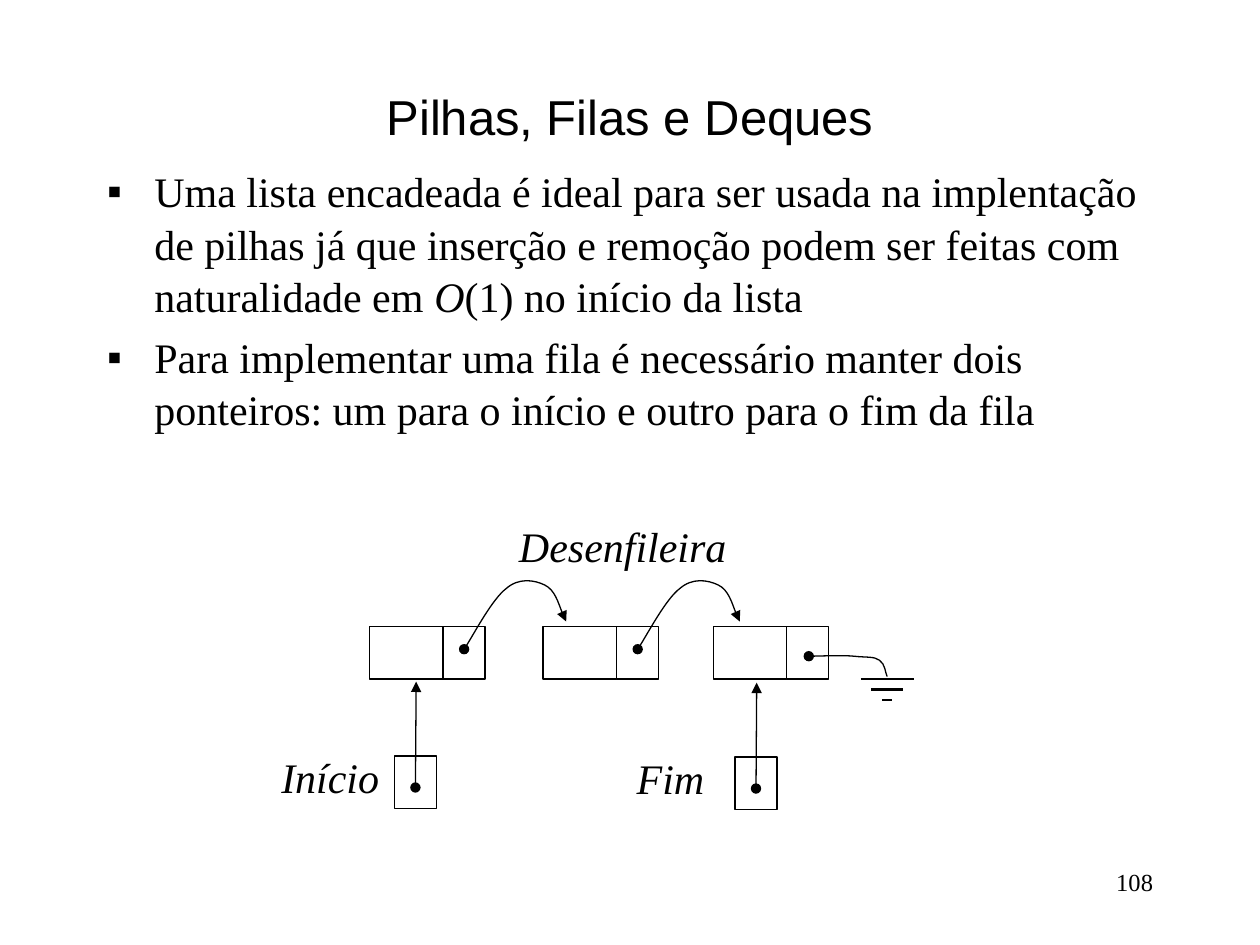
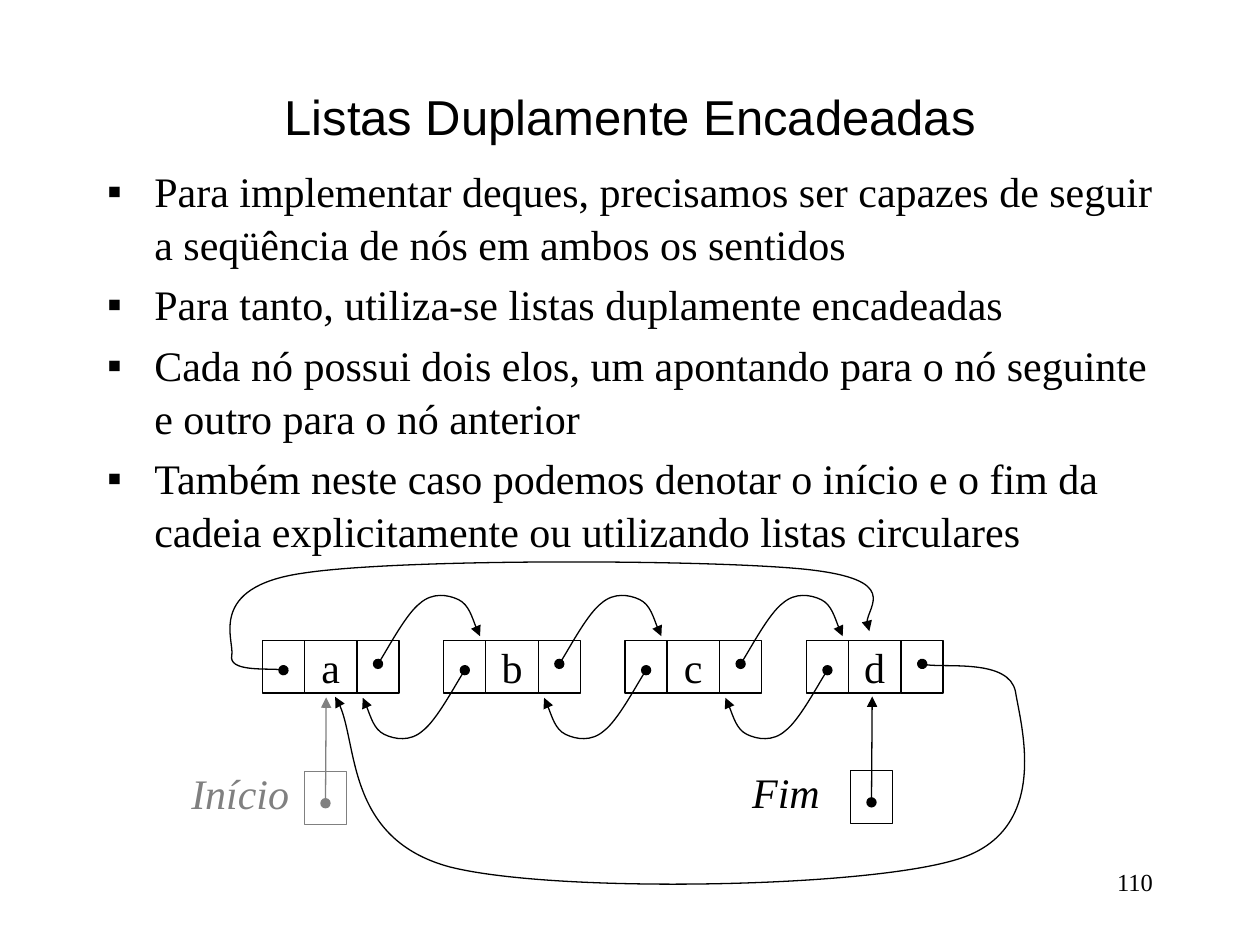
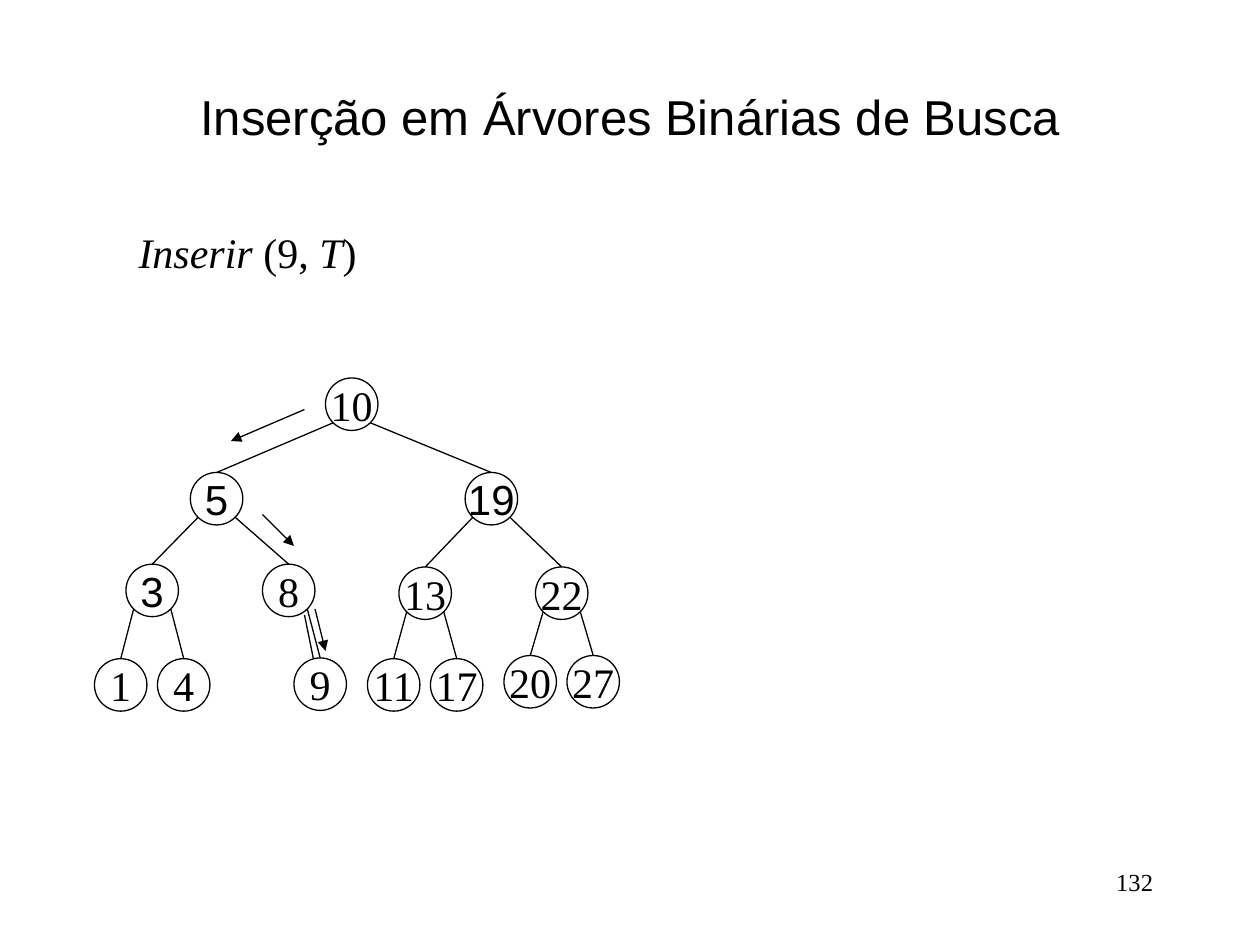
from dataclasses import dataclass
from math import sqrt

from pptx import Presentation
from pptx.dml.color import RGBColor
from pptx.enum.shapes import MSO_CONNECTOR, MSO_SHAPE
from pptx.enum.text import MSO_ANCHOR, MSO_AUTO_SIZE, PP_ALIGN
from pptx.oxml import parse_xml
from pptx.oxml.ns import nsdecls, qn
from pptx.oxml.xmlchemy import OxmlElement
from pptx.util import Pt

# Shared style
COLORS = {"ink": "000000", "muted": "808080", "paper": "FFFFFF"}
SANS, SERIF = "Arial", "Times New Roman"
TITLE_SIZE, TEXT_SIZE, NUMBER_SIZE = 28, 24, 14
THIN, THICK = 0.75, 1.5
CELL_HEIGHT, LINK_WIDTH, VALUE_WIDTH = 30, 24, 30
NODE_SIZE = 30

# Curve from a link to the next list node, relative to its dot
HOP = [(0, 0), (4, -5.8), (16.3, -28.8), (24, -34.6), (31.2, -41),
       (40, -39.6), (46, -36.7), (52, -33.8), (56, -20), (58.3, -15.8)]
NULL_LINK = [(462.2, 375), (466.5, 375), (481.7, 374.4), (488, 375), (494.6, 375.8),
             (499.7, 375), (502.6, 377.3), (506, 379.4), (506, 385), (507, 386.6)]
FIRST_TO_LAST = [(162, 383), (157, 381.6), (130.3, 383.8), (132.5, 374.4),
                 (134, 365.8), (118, 335.5), (172.8, 327.6),
                 (227.5, 319), (406.8, 319.7), (460.8, 325.4),
                 (514.8, 331.2), (489.6, 353.5), (496.8, 360.7)]
LAST_TO_FIRST = [(527, 379.4), (535.7, 382.3), (576.7, 376.6), (580.3, 395.3),
                 (583.2, 414), (601.2, 474.5), (547.2, 491),
                 (494, 507.6), (316.8, 510.5), (257, 495.4),
                 (198, 479.5), (205.2, 418.3), (191.5, 398.2)]


@dataclass
class Span:
    text: str
    italic: bool = False


@dataclass
class Pointer:
    label: str
    x: float
    y: float
    label_gap: float
    label_width: float
    color: str = "ink"


@dataclass
class TreeNode:
    value: str
    x: float
    y: float
    parent: str = ""
    side: int = 0  # -1 left child, 1 right child
    font: str = SERIF
    fill: str = ""


def start_pointer(x: float, y: float, color: str = "ink") -> Pointer:
    return Pointer("Início", x, y, 72, 70.6, color)


def end_pointer(x: float, y: float) -> Pointer:
    return Pointer("Fim", x, y, 63.5, 53.3)


# Text
def add_spans(para, spans: list[Span], size: float, font: str = SERIF,
              color: str = "ink") -> None:
    for span in spans:
        run = para.add_run()
        run.text = span.text
        run.font.size, run.font.name = Pt(size), font
        run.font.bold, run.font.italic = False, span.italic
        run.font.color.rgb = RGBColor.from_string(COLORS[color])


def place(shape, x: float, y: float, width: float, height: float) -> None:
    shape.left, shape.top, shape.width, shape.height = map(Pt, (x, y, width, height))


def add_label(page, x: float, y: float, width: float, spans: list[Span],
              color: str = "ink") -> None:
    box = page.shapes.add_textbox(Pt(x), Pt(y), Pt(width), Pt(36))
    box.text_frame.word_wrap = False
    box.text_frame.auto_size = MSO_AUTO_SIZE.SHAPE_TO_FIT_TEXT
    para = box.text_frame.paragraphs[0]
    para.alignment = PP_ALIGN.CENTER
    add_spans(para, spans, TEXT_SIZE, color=color)


def add_bullets(page, items: list[list[Span]]) -> None:
    body = page.placeholders[1]
    place(body, 54, 90, 612, 390)
    frame = body.text_frame
    frame.auto_size = MSO_AUTO_SIZE.NONE
    for index, spans in enumerate(items):
        para = frame.add_paragraph() if index else frame.paragraphs[0]
        properties = para._p.get_or_add_pPr()
        properties.set("marL", str(Pt(27)))
        properties.set("indent", str(Pt(-27)))
        properties.append(parse_xml(f'<a:buChar {nsdecls("a")} char="▪"/>'))
        para.line_spacing = 1.04
        para.space_before = Pt(4.8 if index else 0)
        add_spans(para, spans, TEXT_SIZE)


def add_page(deck, layout: int, title: str, number: str):
    page = deck.slides.add_slide(deck.slide_layouts[layout])
    heading = page.shapes.title
    place(heading, 54, 48, 612, 36)
    heading.text_frame.auto_size = MSO_AUTO_SIZE.NONE
    heading.text_frame.vertical_anchor = MSO_ANCHOR.MIDDLE
    para = heading.text_frame.paragraphs[0]
    para.alignment = PP_ALIGN.CENTER
    add_spans(para, [Span(title)], TITLE_SIZE, SANS)

    box = page.shapes.add_textbox(Pt(516), Pt(492), Pt(150), Pt(36))
    box.text_frame.word_wrap = True
    para = box.text_frame.paragraphs[0]
    para.alignment = PP_ALIGN.RIGHT
    add_spans(para, [Span(number)], NUMBER_SIZE)
    return page


# Shapes and lines
def style_line(shape, color: str = "ink", width: float = THIN,
               head: str = "", tail: str = "") -> None:
    shape.line.color.rgb = RGBColor.from_string(COLORS[color])
    shape.line.width = Pt(width)
    for tag, kind in (("headEnd", head), ("tailEnd", tail)):
        if kind:
            end = parse_xml(f'<a:{tag} {nsdecls("a")} type="{kind}"/>')
            shape.line._get_or_add_ln().append(end)


def add_box(page, x: float, y: float, width: float, height: float, text: str = "",
            kind: MSO_SHAPE = MSO_SHAPE.RECTANGLE, font: str = SERIF,
            color: str = "ink", fill: str = ""):
    box = page.shapes.add_shape(kind, Pt(x), Pt(y), Pt(width), Pt(height))
    box.shadow.inherit = False
    if fill:
        box.fill.solid()
        box.fill.fore_color.rgb = RGBColor.from_string(COLORS[fill])
    else:
        box.fill.background()
    style_line(box, color)
    if text:
        box.text_frame.word_wrap = False
        box.text_frame.vertical_anchor = MSO_ANCHOR.MIDDLE
        para = box.text_frame.paragraphs[0]
        para.alignment = PP_ALIGN.CENTER
        add_spans(para, [Span(text)], TEXT_SIZE, font)
    return box


def add_line(page, start: tuple, end: tuple, color: str = "ink", width: float = THIN,
             head: str = "", tail: str = ""):
    line = page.shapes.add_connector(MSO_CONNECTOR.STRAIGHT, *map(Pt, start + end))
    style_line(line, color, width, head, tail)
    line._element.spPr.append(OxmlElement("a:effectLst"))
    return line


def add_curve(page, points: list[tuple], tail: str = "triangle") -> None:
    """Draw Bézier curves: a start, then two controls and an end per curve."""
    vertices = [(Pt(x), Pt(y)) for x, y in points]
    builder = page.shapes.build_freeform(*vertices[0])
    builder.add_line_segments(vertices[1:], close=False)
    curve = builder.convert_to_shape()
    outline = curve._element.xpath(".//a:path")[0]
    segments = outline.findall(qn("a:lnTo"))
    for first in range(0, len(segments), 3):
        cubic = OxmlElement("a:cubicBezTo")
        for segment in segments[first:first + 3]:
            cubic.append(segment[0])
            outline.remove(segment)
        outline.append(cubic)
    curve.shadow.inherit = False
    curve.fill.background()
    style_line(curve, head="oval", tail=tail)


def add_hop(page, x: float, y: float, direction: int = 1) -> None:
    add_curve(page, [(x + direction * dx, y + direction * dy) for dx, dy in HOP])


def add_pointer(page, pointer: Pointer) -> None:
    x, y, color = pointer.x, pointer.y, pointer.color
    add_box(page, x, y, LINK_WIDTH, CELL_HEIGHT, color=color)
    add_line(page, (x + 12, y + 18), (x + 12.4, y - 42.5), color,
             head="oval", tail="triangle")
    add_label(page, x - pointer.label_gap, y - 6, pointer.label_width,
              [Span(pointer.label, True)], color)


# Slides
def build_queue(deck) -> None:
    page = add_page(deck, 1, "Pilhas, Filas e Deques", "108")
    add_bullets(page, [
        [Span("Uma lista encadeada é ideal para ser usada na implentação de pilhas já que "
              "inserção e remoção podem ser feitas com naturalidade em "),
         Span("O", True), Span("(1) no início da lista")],
        [Span("Para implementar uma fila é necessário manter dois ponteiros: um para o "
              "início e outro para o fim da fila")],
    ])
    node_width, top = 42, 358
    lefts = [211.2, 310.4, 407.6]
    for left in lefts:
        add_box(page, left, top, node_width, CELL_HEIGHT)
        add_box(page, left + node_width, top, LINK_WIDTH, CELL_HEIGHT)
    for left in lefts[:-1]:
        add_hop(page, left + node_width + LINK_WIDTH / 2, 371)

    # Null link and ground sign
    add_curve(page, NULL_LINK, tail="")
    for step in range(3):
        inset, y = 6 * step, 388 + 6 * step
        add_line(page, (492 + inset, y), (522 - inset, y), width=THICK)

    add_pointer(page, start_pointer(225.4, 432))
    add_pointer(page, end_pointer(420, 432.6))
    add_label(page, 289.4, 294, 133, [Span("Desenfileira", True)])


def build_double_list(deck) -> None:
    page = add_page(deck, 1, "Listas Duplamente Encadeadas", "110")
    add_bullets(page, [[Span(text)] for text in (
        "Para implementar deques, precisamos ser capazes de seguir a seqüência de nós "
        "em ambos os sentidos",
        "Para tanto, utiliza-se listas duplamente encadeadas",
        "Cada nó possui dois elos, um apontando para o nó seguinte e outro para o nó "
        "anterior",
        "Também neste caso podemos denotar o início e o fim da cadeia explicitamente ou "
        "utilizando listas circulares",
    )])
    values, top, pitch = "abcd", 366, 103.6
    for index, value in enumerate(values):
        previous = 150 + pitch * index
        center = previous + LINK_WIDTH
        following = center + VALUE_WIDTH
        add_box(page, previous, top, LINK_WIDTH, CELL_HEIGHT)
        add_box(page, center, top, VALUE_WIDTH, CELL_HEIGHT, value)
        add_box(page, following, top, LINK_WIDTH, CELL_HEIGHT)
        if index < len(values) - 1:
            add_hop(page, following + LINK_WIDTH / 2, 379.4)
        if index:
            add_hop(page, previous + LINK_WIDTH / 2, 383, -1)
    add_curve(page, FIRST_TO_LAST)
    add_curve(page, LAST_TO_FIRST)
    add_pointer(page, end_pointer(486, 440.5))
    add_pointer(page, start_pointer(174, 441, "muted"))


def build_tree(deck) -> None:
    page = add_page(deck, 5, "Inserção em Árvores Binárias de Busca", "132")
    add_label(page, 72, 126, 139,
              [Span("Inserir", True), Span(" (9, "), Span("T", True), Span(")")])
    add_line(page, (174, 351.4), (180, 381))  # former empty link under 8

    nodes = [
        TreeNode("10", 186, 216),
        TreeNode("5", 108.8, 270, "10", -1, SANS),
        TreeNode("19", 265.8, 270, "10", 1, SANS),
        TreeNode("3", 72, 322.4, "5", -1, SANS),
        TreeNode("8", 150, 322.4, "5", 1),
        TreeNode("13", 228, 324, "19", -1),
        TreeNode("22", 306, 324, "19", 1),
        TreeNode("1", 54, 376.4, "3", -1),
        TreeNode("4", 90, 376.4, "3", 1),
        TreeNode("9", 168, 376, "8", 1, fill="paper"),
        TreeNode("11", 210, 376.4, "13", -1),
        TreeNode("17", 246, 376.4, "13", 1),
        TreeNode("20", 288, 374.6, "22", -1),
        TreeNode("27", 324, 374.6, "22", 1),
    ]
    by_value = {node.value: node for node in nodes}
    radius = NODE_SIZE / 2
    diagonal = radius / sqrt(2)
    for node in nodes:
        circle = add_box(page, node.x, node.y, NODE_SIZE, NODE_SIZE, node.value,
                         MSO_SHAPE.OVAL, node.font, fill=node.fill)
        if node.parent:
            parent = by_value[node.parent]
            start = (parent.x + radius + node.side * diagonal,
                     parent.y + radius + diagonal)
            edge = add_line(page, start, (node.x + radius, node.y))
            edge.end_connect(circle, 0)

    # Search route
    for start, end in (((174, 234), (132, 252)), ((150, 294), (168, 312)),
                       ((180, 348), (186, 372))):
        add_line(page, start, end, tail="triangle")


def main() -> None:
    deck = Presentation()
    deck.slide_width, deck.slide_height = Pt(720), Pt(540)
    build_queue(deck)
    build_double_list(deck)
    build_tree(deck)
    deck.save("out.pptx")


if __name__ == "__main__":
    main()
